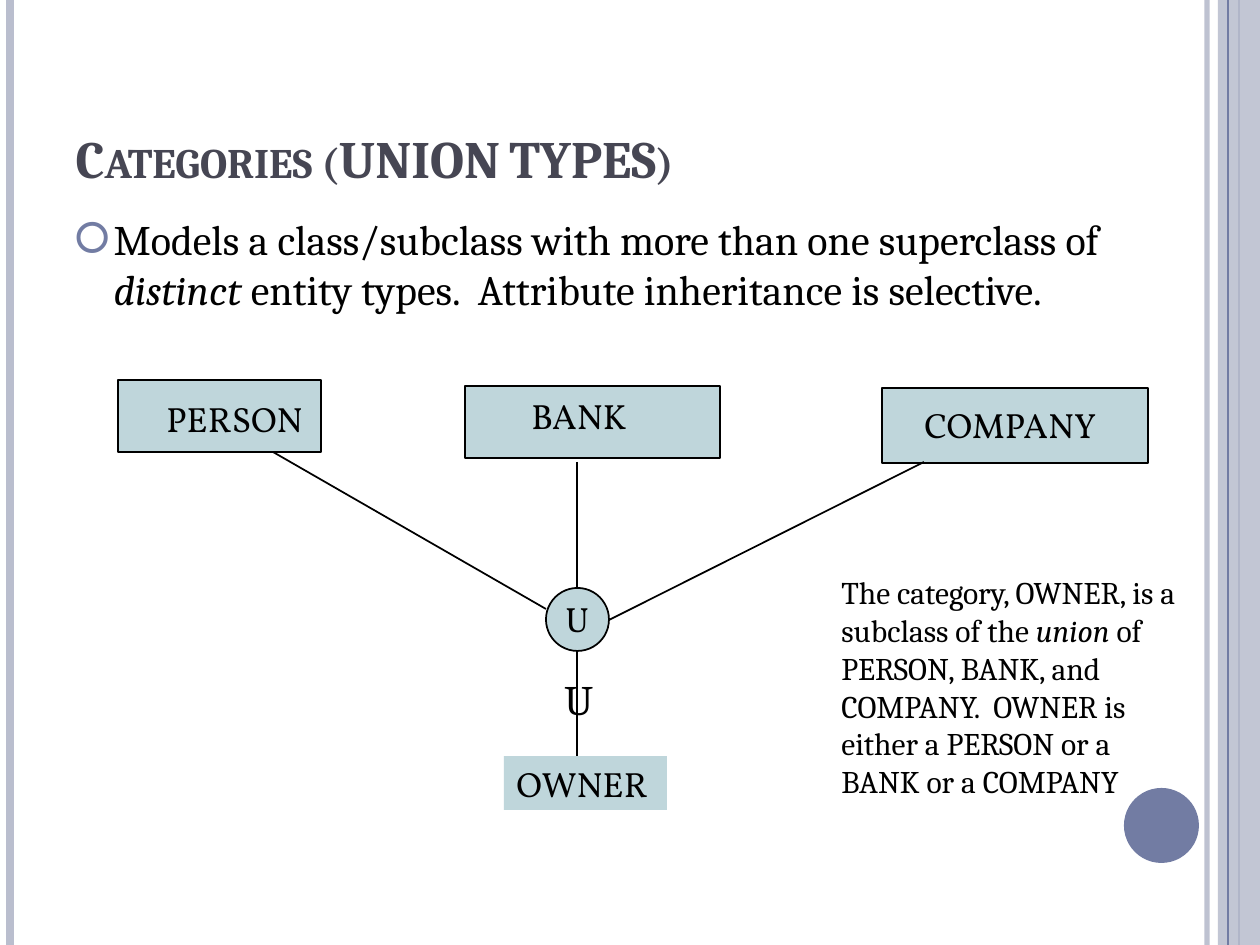
from lxml.etree import SubElement
from pptx import Presentation
from pptx.dml.color import RGBColor
from pptx.enum.shapes import MSO_CONNECTOR as CONN, MSO_SHAPE as SHAPE
from pptx.enum.text import MSO_ANCHOR as ANCHOR, MSO_AUTO_SIZE as AUTO, PP_ALIGN as ALIGN
from pptx.oxml.ns import qn
from pptx.util import Emu, Pt

COLORS = {
    "black": "000000",
    "title": "464653",
    "accent": "727CA3",
    "band": "BABECE",
    "box": "BFD6DB",
}
HEAD, LABEL = "Cambria", "Vollkorn"


def px(n):
    return Emu(round(n * 914400 / 126))


def rgb(name):
    return RGBColor.from_string(COLORS[name])


def set_alpha(fill, percent):
    color = fill._xPr.find(qn("a:solidFill"))[0]
    SubElement(color, qn("a:alpha"), val=str(percent * 1000))


def place(sp, left, top, width, height):
    sp.left, sp.top, sp.width, sp.height = map(px, (left, top, width, height))


def style_run(r, size, font=HEAD, color="black", bold=False, italic=False):
    r.font.size = Pt(size)
    r.font.name = font
    r.font.color.rgb = rgb(color)
    r.font.bold = bold
    r.font.italic = italic


def add_runs(p, parts, size, font=HEAD):
    for i, text in enumerate(parts):
        r = p.add_run()
        r.text = text
        style_run(r, size, font, italic=i % 2 == 1)


def add_bullet(p, char, color):
    pPr = p._p.get_or_add_pPr()
    pPr.set("marL", str(px(38)))
    pPr.set("indent", str(-px(38)))
    clr = SubElement(pPr, qn("a:buClr"))
    SubElement(clr, qn("a:srgbClr"), val=COLORS[color])
    SubElement(pPr, qn("a:buChar"), char=char)


def add_line(s, x1, y1, x2, y2, color="black", width=1, alpha=None):
    line = s.shapes.add_connector(CONN.STRAIGHT, px(x1), px(y1), px(x2), px(y2))
    line.line.color.rgb = rgb(color)
    line.line.width = Pt(width)
    SubElement(line._element.spPr, qn("a:effectLst"))
    if alpha:
        set_alpha(line.line.fill, alpha)


def add_box(s, kind, box, fill="box", outline=True):
    sp = s.shapes.add_shape(kind, *map(px, box))
    sp.shadow.inherit = False
    sp.fill.solid()
    sp.fill.fore_color.rgb = rgb(fill)
    if outline:
        sp.line.color.rgb = rgb("black")
        sp.line.width = Pt(1)
    else:
        sp.line.fill.background()
    return sp


def add_text(s, box, parts, size=20, font=LABEL, align=ALIGN.LEFT):
    tf = s.shapes.add_textbox(*map(px, box)).text_frame
    tf.word_wrap = True
    p = tf.paragraphs[0]
    p.alignment = align
    add_runs(p, parts, size, font)


def add_frame(s):
    for x, color, width, alpha in (
        (1207, "band", 3, 93),
        (10, "band", 4.5, None),
        (1239, "accent", 1.5, None),
    ):
        add_line(s, x, 0, x, 945, color, width, alpha)
    band = add_box(s, SHAPE.RECTANGLE, (1218, 0, 42, 945), "band", False)
    set_alpha(band.fill, 87)
    add_line(s, 1228, 0, 1228, 945, "accent", 0.75)
    add_box(s, SHAPE.OVAL, (1124, 788, 75, 75), "accent", False)


def set_title(s, text):
    sp = s.shapes.title
    place(sp, 63, 38, 1029, 157)
    tf = sp.text_frame
    tf.text = text
    tf.auto_size = AUTO.NONE
    tf.vertical_anchor = ANCHOR.BOTTOM
    p = tf.paragraphs[0]
    p.alignment = ALIGN.LEFT
    r = p.runs[0]
    style_run(r, 30, color="title", bold=True)
    r._r.get_or_add_rPr().set("cap", "small")


def set_body(s, parts):
    sp = s.placeholders[1]
    place(sp, 63, 207, 1134, 638)
    sp.text_frame.auto_size = AUTO.NONE
    p = sp.text_frame.paragraphs[0]
    p.space_before = Pt(0)
    add_bullet(p, "🞆", "accent")
    add_runs(p, parts, 24)


def add_diagram(s):
    add_box(s, SHAPE.OVAL, (546, 588, 63, 63))
    for name, box, label in (
        ("PERSON", (118, 380, 203, 72), (154, 391, 168, 54)),
        ("BANK", (465, 386, 255, 72), (519, 388, 130, 54)),
        ("COMPANY", (882, 388, 266, 75), (912, 397, 213, 54)),
    ):
        add_box(s, SHAPE.RECTANGLE, box)
        add_text(s, label, [name])
    add_box(s, SHAPE.RECTANGLE, (504, 756, 163, 54), outline=False)
    add_text(s, (504, 756, 163, 54), ["OWNER"])
    for ends in (
        (273, 452, 546, 609),
        (577, 462, 577, 588),
        (924, 462, 609, 620),
        (577, 651, 577, 756),
    ):
        add_line(s, *ends)
    add_text(s, (553, 591, 53, 54), ["U"])
    add_text(s, (552, 667, 53, 63), ["U"], 24, HEAD, ALIGN.CENTER)


def main():
    prs = Presentation()
    prs.slide_width, prs.slide_height = px(1260), px(945)
    s = prs.slides.add_slide(prs.slide_layouts[1])
    add_frame(s)
    set_title(s, "Categories (UNION TYPES)")
    set_body(s, [
        "Models a class/subclass with more than one superclass of ",
        "distinct",
        " entity types.  Attribute inheritance is selective.",
    ])
    add_diagram(s)
    add_text(s, (829, 567, 378, 277), [
        "The category, OWNER, is a subclass of the ",
        "union",
        " of PERSON, BANK, and COMPANY.  OWNER is either a PERSON or a BANK or a COMPANY",
    ], 18, HEAD)
    prs.save("out.pptx")


if __name__ == "__main__":
    main()
